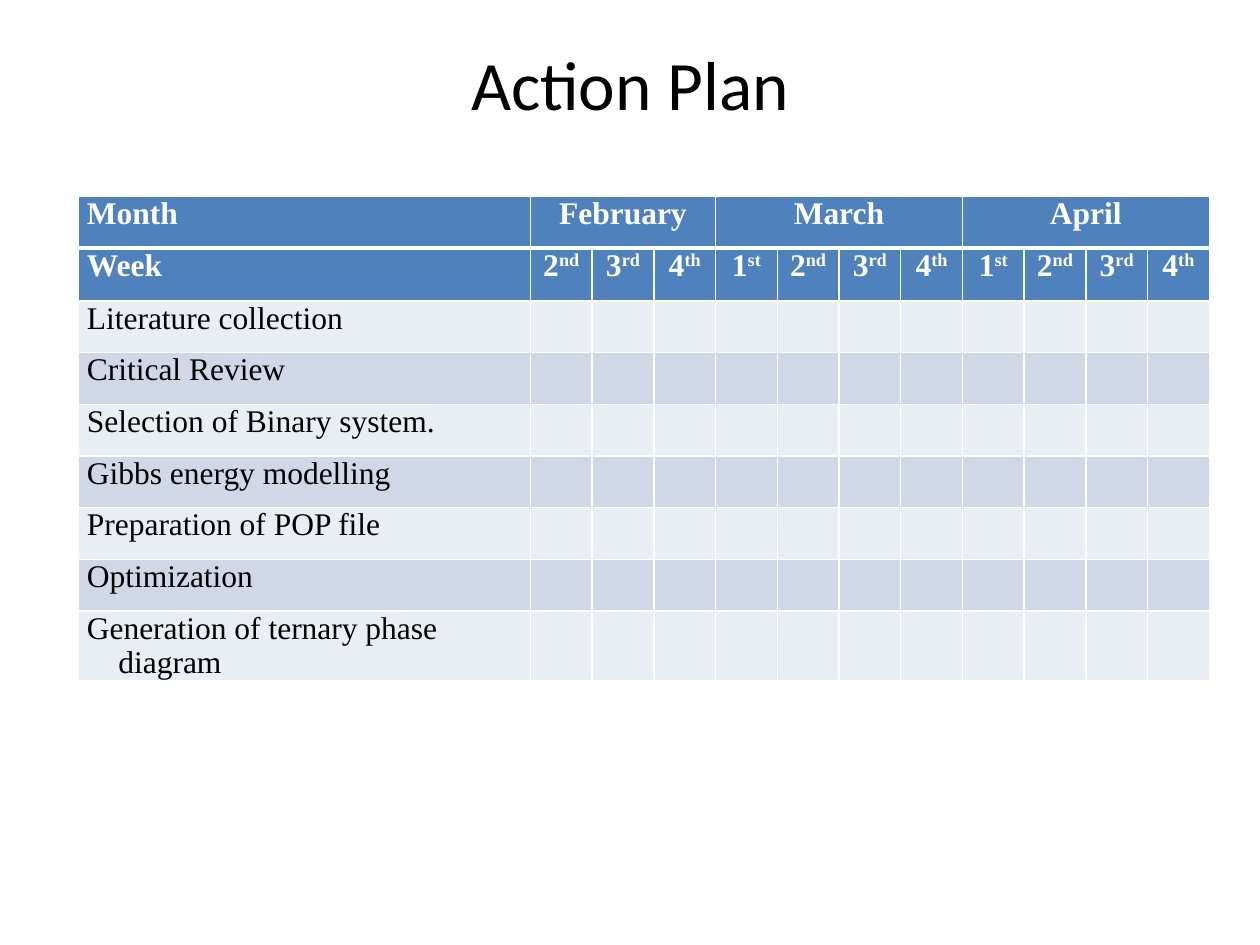
from dataclasses import dataclass

from lxml.etree import SubElement as Sub
from pptx import Presentation
from pptx.dml.color import RGBColor
from pptx.enum.text import MSO_ANCHOR as Anchor, PP_ALIGN as Align
from pptx.oxml.ns import qn
from pptx.table import _Cell as Cell
from pptx.util import Inches, Pt

SERIF = "Times New Roman"
WHITE, BLACK, BLUE = "FFFFFF", "000000", "4F81BD"
BANDS = ("E9EDF4", "D0D8E8")


@dataclass
class Month:
    name: str
    weeks: tuple[int, ...]


MONTHS = [
    Month("February", (2, 3, 4)),
    Month("March", (1, 2, 3, 4)),
    Month("April", (1, 2, 3, 4)),
]
ENDS = {1: "st", 2: "nd", 3: "rd", 4: "th"}
TASKS = [
    "Literature collection",
    "Critical Review",
    "Selection of Binary system.",
    "Gibbs energy modelling",
    "Preparation of POP file",
    "Optimization",
    "Generation of ternary phase diagram",
]


def paint(item, tint: str) -> None:
    item.rgb = RGBColor.from_string(tint)


def style(font, tint: str, **form) -> None:
    for key, value in form.items():
        setattr(font, key, value)
    paint(font.color, tint)


def dress(cell: Cell, tint: str, top: int = 1, base: int = 1) -> None:
    form = {"margin_left": Inches(0.07), "margin_right": Inches(0.07),
            "margin_top": 0, "margin_bottom": 0}
    for key, value in form.items():
        setattr(cell, key, value)
    props = cell._tc.get_or_add_tcPr()
    for side, width in {"L": 1, "R": 1, "T": top, "B": base}.items():
        line = Sub(props, qn(f"a:ln{side}"), w=str(Pt(width)))
        Sub(Sub(line, qn("a:solidFill")), qn("a:srgbClr"), val=WHITE)
    cell.fill.solid()
    paint(cell.fill.fore_color, tint)


def write(cell: Cell, text: str, tint: str, bold: bool,
          align: Align = Align.LEFT, end: str = "") -> None:
    para = cell.text_frame.paragraphs[0]
    para.alignment = align
    props = para._p.get_or_add_pPr()
    props.set("marL", str(Inches(0.25)))
    props.set("indent", str(Inches(-0.25)))
    for part in filter(None, (text, end)):
        run = para.add_run()
        run.text = part
        style(run.font, tint, name=SERIF, size=Pt(18), bold=bold)
        if part == end:
            run.font._element.set("baseline", "30000")


deck = Presentation()
deck.slide_width, deck.slide_height = Inches(10), Inches(7.5)
slide = deck.slides.add_slide(deck.slide_layouts[5])

title = slide.shapes.title
box = {"left": 0.5, "top": 0.3, "width": 9, "height": 0.72}
for key, value in box.items():
    setattr(title, key, Inches(value))
title.text_frame.text = "Action Plan"
title.text_frame.vertical_anchor = Anchor.MIDDLE
head = title.text_frame.paragraphs[0]
head.alignment = Align.CENTER
style(head.runs[0].font, BLACK, name="Calibri", size=Pt(39.6))

count = sum(len(month.weeks) for month in MONTHS)
rows = len(TASKS) + 2
frame = slide.shapes.add_table(rows, count + 1, Inches(0.62), Inches(1.56),
                               Inches(9), Inches(3.7))
grid = frame.table
for i, col in enumerate(grid.columns):
    col.width = Inches(0.49 if i else 3.59)
for i, row in enumerate(grid.rows):
    row.height = Inches(0.42 if i == 1 else 0.41)
    tint = BLUE if i < 2 else BANDS[i % 2]
    for cell in row.cells:
        dress(cell, tint, 3 if i == 1 else 1, 1 if i else 3)

for i, text in enumerate(["Month", "Week", *TASKS]):
    write(grid.cell(i, 0), text, WHITE if i < 2 else BLACK, i < 2)

first = 1
for month in MONTHS:
    last = first + len(month.weeks) - 1
    grid.cell(0, first).merge(grid.cell(0, last))
    write(grid.cell(0, first), month.name, WHITE, True, Align.CENTER)
    for i, week in enumerate(month.weeks, first):
        write(grid.cell(1, i), str(week), WHITE, True, Align.CENTER, ENDS[week])
    first = last + 1

deck.save("out.pptx")
